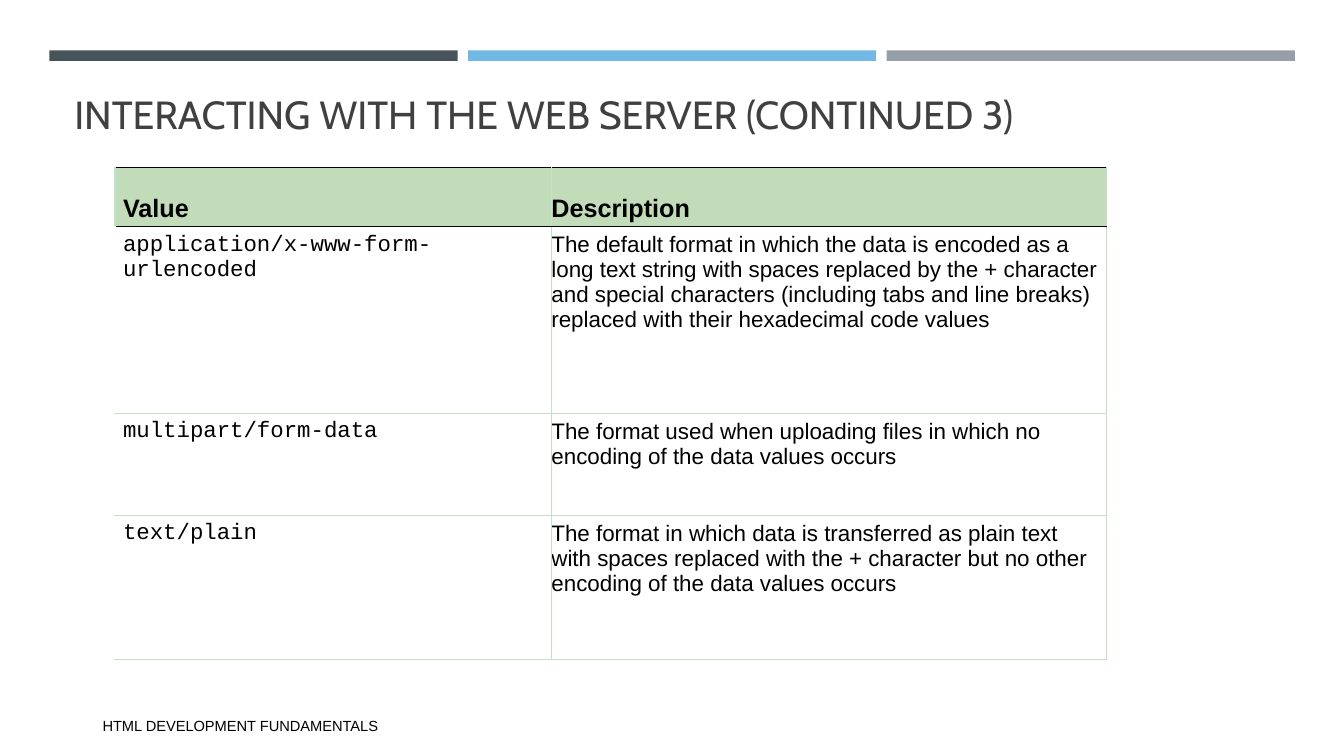
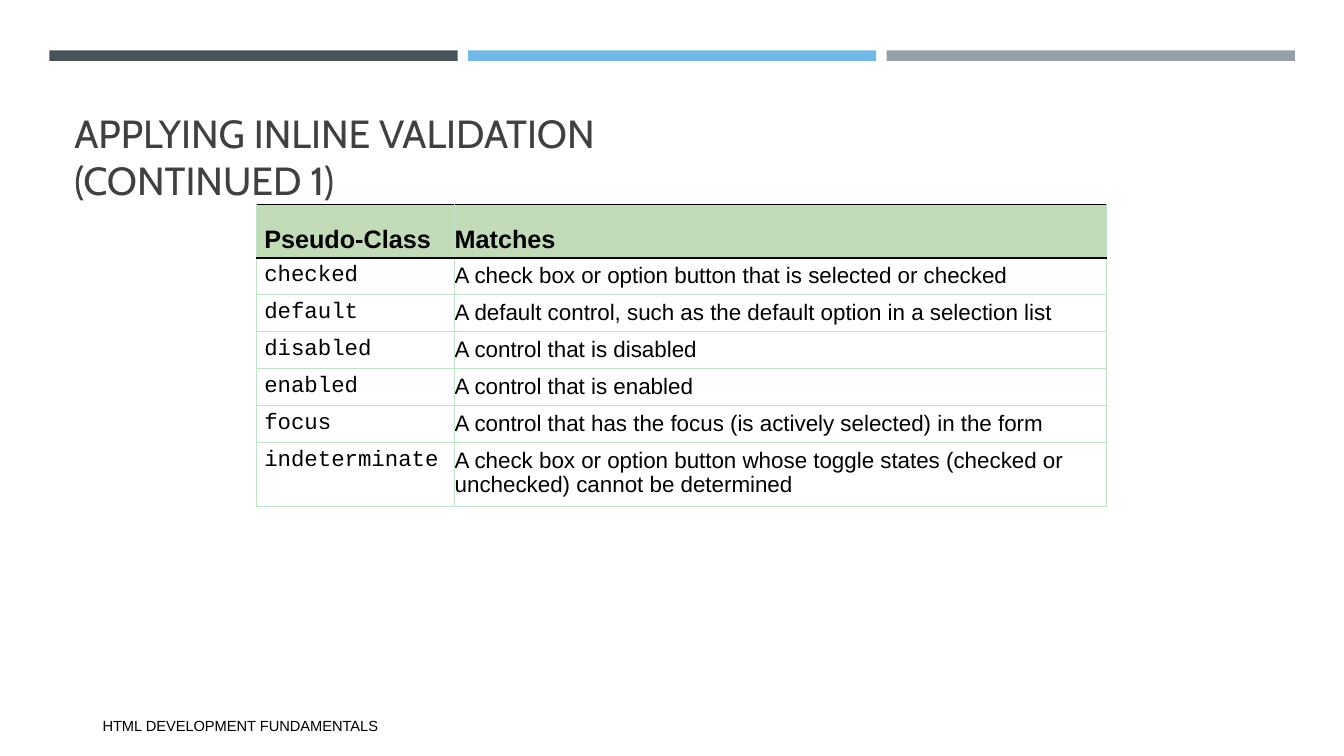
from lxml.etree import SubElement
from pptx import Presentation
from pptx.dml.color import RGBColor
from pptx.enum.shapes import MSO_SHAPE as SHAPE
from pptx.enum.text import MSO_ANCHOR as ANCHOR
from pptx.oxml.ns import qn
from pptx.util import Pt

BLACK, WHITE, GREEN, MINT = "000000", "FFFFFF", "C2DBB9", "BFE2C9"
TITLE_COLOR = "404040"
BANDS = ["465359", "71B9E4", "969FA7"]
BAND_LEFT, BAND_TOP, BAND_W, BAND_H, BAND_STEP = 35.3, 36, 291.6, 7.5, 299
FOOTER = "HTML DEVELOPMENT FUNDAMENTALS"

SLIDES = [
    dict(
        title="INTERACTING WITH THE WEB SERVER (CONTINUED 3)",
        title_h=46,
        left=82.1, top=119.5, cols=[311.8, 396.7],
        heights=[42.5, 133.2, 72.9, 102.8],
        head_top=15, head_line=12, pad=4.3, left_edge=False,
        rows=[
            ("Value", "Description"),
            ("application/x-www-form-urlencoded",
             "The default format in which the data is encoded as a long text "
             "string with spaces replaced by the + character and special "
             "characters (including tabs and line breaks) replaced with "
             "their hexadecimal code values"),
            ("multipart/form-data",
             "The format used when uploading files in which no encoding of "
             "the data values occurs"),
            ("text/plain",
             "The format in which data is transferred as plain text with "
             "spaces replaced with the + character but no other encoding of "
             "the data values occurs"),
        ],
    ),
    dict(
        title="APPLYING INLINE VALIDATION\n(CONTINUED 1)",
        title_h=93.6,
        left=183, top=146.2, cols=[141.8, 465.8],
        heights=[36.2] + [25.4] * 5 + [42.8],
        head_top=13.5, head_line=None, pad=3.6, left_edge=True,
        rows=[
            ("Pseudo-Class", "Matches"),
            ("checked", "A check box or option button that is selected or checked"),
            ("default", "A default control, such as the default option in a selection list"),
            ("disabled", "A control that is disabled"),
            ("enabled", "A control that is enabled"),
            ("focus", "A control that has the focus (is actively selected) in the form"),
            ("indeterminate",
             "A check box or option button whose toggle states (checked or "
             "unchecked) cannot be determined"),
        ],
    ),
]


def rgb(color):
    return RGBColor.from_string(color)


def write(tf, text, size=16, font="Arial", color=BLACK, bold=False, line=None):
    p = tf.paragraphs[0]
    p.text = text
    if line:
        p.line_spacing = Pt(line)
    for r in p.runs:
        r.font.size = Pt(size)
        r.font.name = font
        r.font.bold = bold
        r.font.color.rgb = rgb(color)


def add_text(s, text, left, top, width, height, anchor, **fmt):
    tf = s.shapes.add_textbox(Pt(left), Pt(top), Pt(width), Pt(height)).text_frame
    tf.word_wrap = True
    tf.vertical_anchor = anchor
    write(tf, text, **fmt)


def add_frame(s, title, title_h):
    for i, color in enumerate(BANDS):
        sp = s.shapes.add_shape(SHAPE.RECTANGLE, Pt(BAND_LEFT + i * BAND_STEP),
                                Pt(BAND_TOP), Pt(BAND_W), Pt(BAND_H))
        sp.shadow.inherit = False
        sp.fill.solid()
        sp.fill.fore_color.rgb = rgb(color)
        sp.line.fill.background()
    add_text(s, title, 46, 55.4, 868.3, title_h, ANCHOR.BOTTOM,
             size=28, font="Cabin", color=TITLE_COLOR)
    add_text(s, FOOTER, 66.2, 504, 693.4, 28.8, ANCHOR.MIDDLE, size=10.5)


def set_borders(cell, **sides):
    tcPr = cell._tc.get_or_add_tcPr()
    for side in "LRTB":
        if sides[side]:
            ln = SubElement(tcPr, qn(f"a:ln{side}"), w=str(Pt(1)))
            fill = SubElement(ln, qn("a:solidFill"))
            SubElement(fill, qn("a:srgbClr"), val=sides[side])


def add_grid(s, d):
    rows, cols = d["rows"], d["cols"]
    table = s.shapes.add_table(len(rows), len(cols), Pt(d["left"]), Pt(d["top"]),
                               Pt(sum(cols)), Pt(sum(d["heights"]))).table
    table.horz_banding = False
    for col, width in zip(table.columns, cols):
        col.width = Pt(width)
    for i, values in enumerate(rows):
        table.rows[i].height = Pt(d["heights"][i])
        head = i == 0
        for j, text in enumerate(values):
            cell = table.cell(i, j)
            set_borders(cell, L=MINT if head or j or d["left_edge"] else None,
                        R=MINT, T=BLACK if i < 2 else MINT, B=BLACK if head else MINT)
            cell.fill.solid()
            cell.fill.fore_color.rgb = rgb(GREEN if head else WHITE)
            cell.margin_left = Pt(0 if j else 5.8)
            cell.margin_right = Pt(5.8)
            cell.margin_top = Pt(d["head_top"] if head else d["pad"])
            cell.margin_bottom = Pt(2.9 if head else d["pad"])
            cell.vertical_anchor = ANCHOR.BOTTOM if head else ANCHOR.TOP
            if head:
                write(cell.text_frame, text, size=18, bold=True, line=d["head_line"])
            else:
                write(cell.text_frame, text, font="Arial" if j else "Courier New")


def main():
    prs = Presentation()
    prs.slide_width, prs.slide_height = Pt(960), Pt(540)
    for d in SLIDES:
        s = prs.slides.add_slide(prs.slide_layouts[6])
        add_frame(s, d["title"], d["title_h"])
        add_grid(s, d)
    prs.save("out.pptx")


if __name__ == "__main__":
    main()
